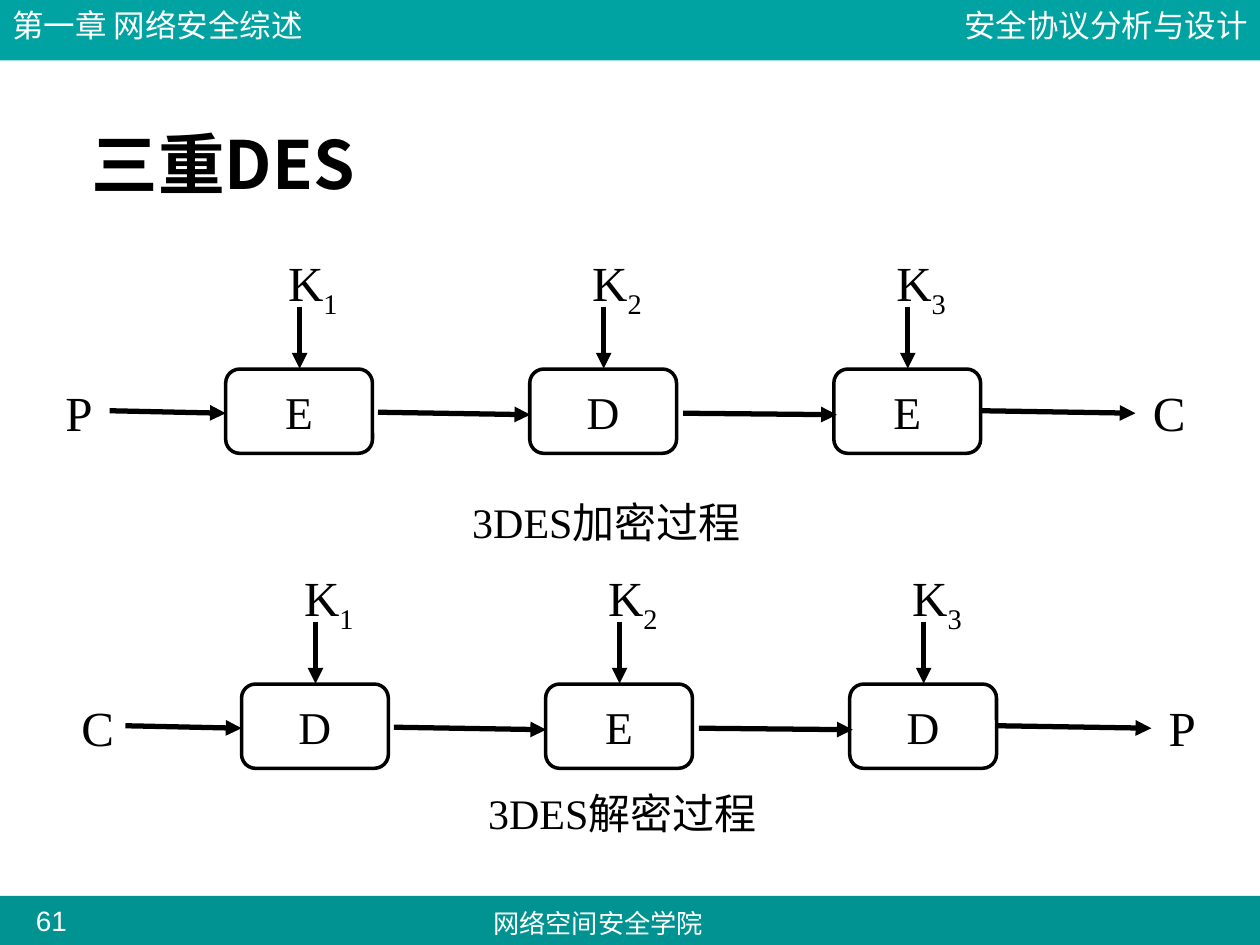
"""Build the triple DES slide with its encryption and decryption chains."""
from dataclasses import dataclass

from lxml import etree
from pptx import Presentation
from pptx.dml.color import RGBColor
from pptx.enum.shapes import MSO_CONNECTOR, MSO_SHAPE
from pptx.enum.text import MSO_ANCHOR, PP_ALIGN
from pptx.oxml.ns import qn
from pptx.util import Cm, Pt

RECTANGLE, ROUNDED = MSO_SHAPE.RECTANGLE, MSO_SHAPE.ROUNDED_RECTANGLE
STRAIGHT = MSO_CONNECTOR.STRAIGHT
TOP, MIDDLE, BOTTOM = MSO_ANCHOR.TOP, MSO_ANCHOR.MIDDLE, MSO_ANCHOR.BOTTOM
LEFT, CENTER, RIGHT = PP_ALIGN.LEFT, PP_ALIGN.CENTER, PP_ALIGN.RIGHT


@dataclass(frozen=True)
class Theme:
    header: str = "00A3A1"
    footer: str = "009391"
    white: str = "FFFFFF"
    ink: str = "000000"
    sans: str = "Arial"
    serif: str = "Times New Roman"
    chinese: str = "Noto Sans CJK SC"
    title_size: float = 38
    label_size: float = 28
    cipher_size: float = 26
    caption_size: float = 24
    header_size: float = 18
    number_size: float = 16
    footer_size: float = 15
    outline: float = 2
    arrow: float = 3


@dataclass(frozen=True)
class Area:
    left: float
    top: float
    width: float
    height: float

    def lengths(self) -> tuple:
        return Cm(self.left), Cm(self.top), Cm(self.width), Cm(self.height)


@dataclass(frozen=True)
class Style:
    size: float
    font: str
    color: str
    bold: bool = False
    align: PP_ALIGN = LEFT
    anchor: MSO_ANCHOR = TOP
    wrap: bool = False
    margin: float | None = None


@dataclass(frozen=True)
class Chain:
    left: float
    top: float
    source: str
    ciphers: str
    result: str
    caption: str
    caption_top: float


THEME = Theme()
LABEL = Style(THEME.label_size, THEME.serif, THEME.ink)
CIPHER = Style(THEME.cipher_size, THEME.serif, THEME.ink,
               align=CENTER, anchor=MIDDLE, wrap=True)
CAPTION = Style(THEME.caption_size, THEME.serif, THEME.ink)
TITLE = Style(THEME.title_size, THEME.chinese, THEME.ink,
              bold=True, anchor=BOTTOM, wrap=True)
CHAPTER = Style(THEME.header_size, THEME.sans, THEME.white, wrap=True)
COURSE = Style(THEME.header_size, THEME.sans, THEME.white, align=RIGHT, wrap=True)
SCHOOL = Style(THEME.footer_size, THEME.sans, THEME.white, align=CENTER, wrap=True)
NUMBER = Style(THEME.number_size, THEME.sans, THEME.white,
               align=CENTER, wrap=True, margin=0)

CHAINS = (
    Chain(0, 0, "P", "EDE", "C", "3DES加密过程", 9.88),
    Chain(0.32, 6.35, "C", "DED", "P", "3DES解密过程", 15.75),
)
PITCH = 6.13
LETTER_WIDTH = {"P": 1.04, "C": 1.17}
FLOW_ARROWS = ((2.21, 8.28, 4.55, 8.33), (7.62, 8.31, 10.69, 8.36),
               (13.77, 8.33, 16.87, 8.36), (19.79, 8.28, 22.89, 8.33))


def write(shape, text: str, style: Style) -> None:
    frame = shape.text_frame
    frame.text = text
    frame.word_wrap = style.wrap
    frame.vertical_anchor = style.anchor
    if style.margin is not None:
        frame.margin_left = frame.margin_right = Cm(style.margin)
        frame.margin_top = frame.margin_bottom = Cm(style.margin)
    para = frame.paragraphs[0]
    para.alignment = style.align
    for span in para.runs:
        format_span(span, style)


def format_span(span, style: Style) -> None:
    span.font.size = Pt(style.size)
    span.font.name = style.font
    span.font.bold = style.bold
    span.font.color.rgb = RGBColor.from_string(style.color)
    east_asian = etree.SubElement(span.font._element, qn("a:ea"))
    east_asian.set("typeface", THEME.chinese)


def add_text(page, area: Area, text: str, style: Style):
    box = page.shapes.add_textbox(*area.lengths())
    write(box, text, style)
    return box


def add_band(page, area: Area, color: str) -> None:
    band = page.shapes.add_shape(RECTANGLE, *area.lengths())
    band.shadow.inherit = False
    band.fill.solid()
    band.fill.fore_color.rgb = RGBColor.from_string(color)
    band.line.fill.background()


def add_cipher(page, area: Area, letter: str) -> None:
    box = page.shapes.add_shape(ROUNDED, *area.lengths())
    box.shadow.inherit = False
    box.fill.solid()
    box.fill.fore_color.rgb = RGBColor.from_string(THEME.white)
    box.line.color.rgb = RGBColor.from_string(THEME.ink)
    box.line.width = Pt(THEME.outline)
    write(box, letter, CIPHER)


def add_arrow(page, x1: float, y1: float, x2: float, y2: float) -> None:
    arrow = page.shapes.add_connector(STRAIGHT, Cm(x1), Cm(y1), Cm(x2), Cm(y2))
    arrow.line.color.rgb = RGBColor.from_string(THEME.ink)
    arrow.line.width = Pt(THEME.arrow)
    etree.SubElement(arrow.line._get_or_add_ln(), qn("a:tailEnd")).set("type", "triangle")
    etree.SubElement(arrow._element.spPr, qn("a:effectLst"))


def add_key(page, area: Area, index: int) -> None:
    box = add_text(page, area, "K", LABEL)
    span = box.text_frame.paragraphs[0].add_run()
    span.text = str(index)
    format_span(span, LABEL)
    span.font._element.set("baseline", "-25000")


def add_chain(page, chain: Chain) -> None:
    x, y = chain.left, chain.top
    for index, letter in enumerate(chain.ciphers):
        shift = x + index * PITCH
        add_cipher(page, Area(shift + 4.55, y + 7.44, 2.96, 1.7), letter)
        add_arrow(page, shift + 6.04, y + 6.18, shift + 6.04, y + 7.43)
        add_key(page, Area(shift + 5.56, y + 4.97, 1.5, 1.6), index + 1)
    for x1, y1, x2, y2 in FLOW_ARROWS:
        add_arrow(page, x + x1, y + y1, x + x2, y + y2)
    for left, letter in ((1.07, chain.source), (22.99, chain.result)):
        add_text(page, Area(x + left, y + 7.58, LETTER_WIDTH[letter], 1.45), letter, LABEL)
    add_text(page, Area(x + 9.27, chain.caption_top, 6.12, 1.27), chain.caption, CAPTION)


def main() -> None:
    deck = Presentation()
    deck.slide_width, deck.slide_height = Cm(25.4), Cm(19.05)
    page = deck.slides.add_slide(deck.slide_layouts[6])
    add_band(page, Area(0, 18.06, 25.4, 1.07), THEME.footer)
    add_band(page, Area(0, 0, 25.4, 1.22), THEME.header)
    add_text(page, Area(17.58, 0, 7.82, 1.02), "安全协议分析与设计", COURSE)
    add_text(page, Area(9.09, 18.16, 5.94, 0.89), "网络空间安全学院", SCHOOL)
    add_text(page, Area(0.36, 18.21, 1.35, 0.69), "61", NUMBER)
    add_text(page, Area(0, 0, 7.82, 1.02), "第一章 网络安全综述", CHAPTER)
    add_text(page, Area(1.6, 0.84, 22.22, 3.38), "三重DES", TITLE)
    for chain in CHAINS:
        add_chain(page, chain)
    deck.save("out.pptx")


if __name__ == "__main__":
    main()
